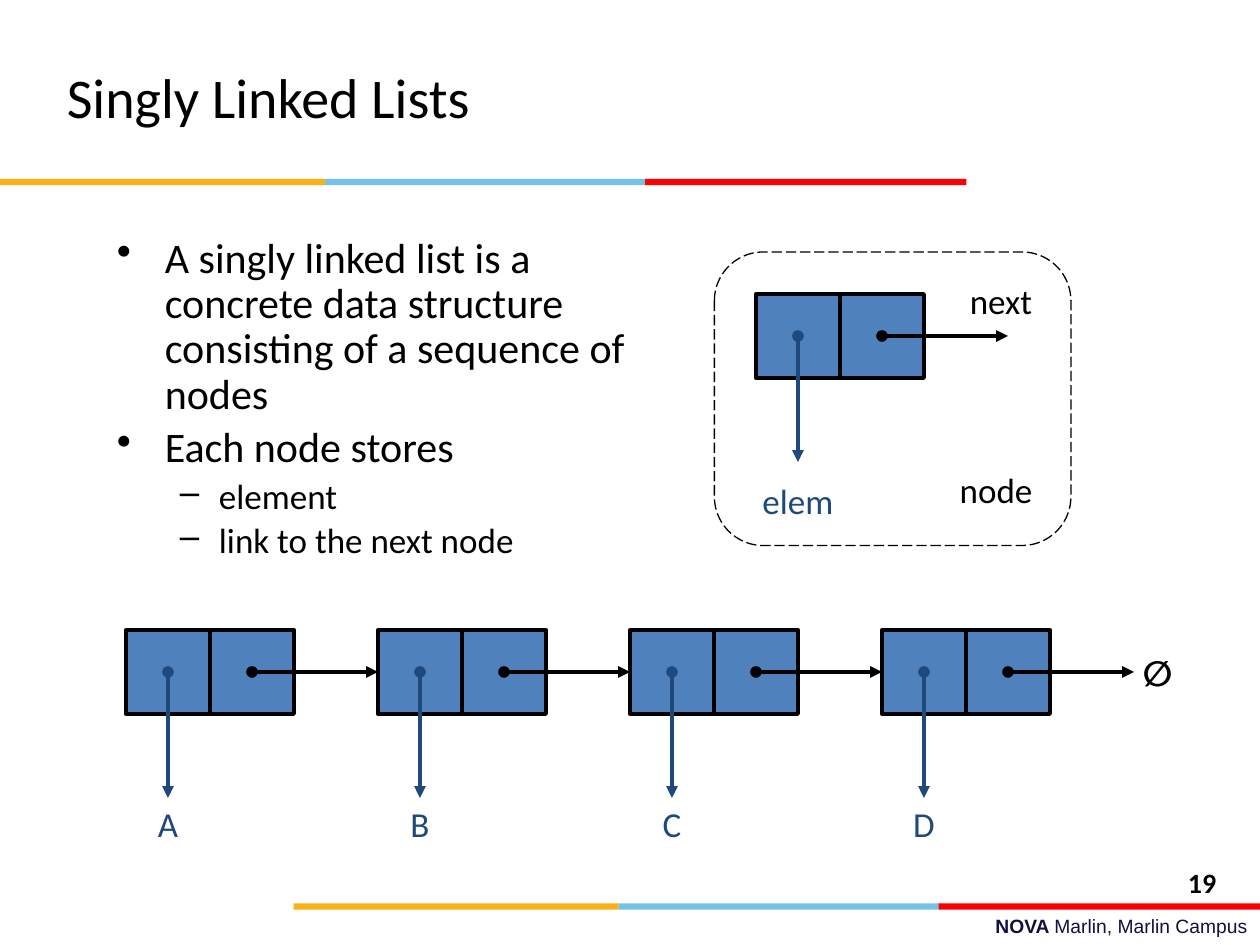
"""Build the slide that explains singly linked lists."""
from typing import NamedTuple

from lxml import etree
from pptx import Presentation
from pptx.dml.color import RGBColor
from pptx.enum.dml import MSO_LINE
from pptx.enum.shapes import MSO_CONNECTOR, MSO_SHAPE
from pptx.enum.text import MSO_ANCHOR, PP_ALIGN
from pptx.oxml.ns import qn
from pptx.util import Inches, Pt

RECT, ROUNDED = MSO_SHAPE.RECTANGLE, MSO_SHAPE.ROUNDED_RECTANGLE
STRAIGHT, LONG_DASH = MSO_CONNECTOR.STRAIGHT, MSO_LINE.LONG_DASH
LEFT, CENTER, RIGHT = PP_ALIGN.LEFT, PP_ALIGN.CENTER, PP_ALIGN.RIGHT
TOP, MIDDLE = MSO_ANCHOR.TOP, MSO_ANCHOR.MIDDLE
LEFT_SIDE = 1
BLACK, NAVY, BLUE = "000000", "1F497D", "4F81BD"
CELL = 2 / 3


class Run(NamedTuple):
    text: str
    bold: bool = False


class Bullet(NamedTuple):
    text: str
    level: int = 0


class BulletStyle(NamedTuple):
    mark: str
    size: int
    margin: float
    hanging: float


class Node(NamedTuple):
    left: float
    top: float
    label: str
    label_top: float
    arrow: float


STYLES = [BulletStyle("•", 24, 0.38, 0.38), BulletStyle("–", 20, 0.81, 0.31)]
BULLETS = [
    Bullet("A singly linked list is a concrete data structure consisting of a sequence of nodes"),
    Bullet("Each node stores"),
    Bullet("element", 1),
    Bullet("link to the next node", 1),
]
BAND_PARTS = [(0, 2.58, "FCB017"), (2.58, 2.55, "76C2E5"), (5.12, 2.55, "FF0000")]
LEGEND_NODE = Node(6, 2 + 1 / 3, "elem", 3.76, 1)
LIST_NODES = [Node(1 + 2 * i, 5, label, 6.32, 1) for i, label in enumerate("ABCD")]


def rgb(color: str) -> RGBColor:
    """Turn a hex string into a colour."""
    return RGBColor.from_string(color)


def write(paragraph, runs, *, size=20, color=BLACK, font="Calibri", align=LEFT) -> None:
    """Fill a paragraph with formatted runs."""
    paragraph.alignment = align
    for text, bold in runs:
        run = paragraph.add_run()
        run.text = text
        run.font.size, run.font.name, run.font.bold = Pt(size), font, bold
        run.font.color.rgb = rgb(color)


def add_text(slide, left, top, width, height, *runs, wrap=False, anchor=TOP, **style):
    """Add a text box with one formatted paragraph."""
    box = slide.shapes.add_textbox(Inches(left), Inches(top), Inches(width), Inches(height))
    box.text_frame.word_wrap = wrap
    box.text_frame.vertical_anchor = anchor
    write(box.text_frame.paragraphs[0], runs, **style)
    return box


def add_box(slide, left, top, width, height, *, kind=RECT, fill=None, line=None, weight=2.25):
    """Add a preset shape with optional fill and outline."""
    shape = slide.shapes.add_shape(kind, Inches(left), Inches(top), Inches(width), Inches(height))
    shape.shadow.inherit = False
    if fill:
        shape.fill.solid()
        shape.fill.fore_color.rgb = rgb(fill)
    else:
        shape.fill.background()
    if line:
        shape.line.color.rgb = rgb(line)
        shape.line.width = Pt(weight)
    else:
        shape.line.fill.background()
    return shape


def add_arrow(slide, x1, y1, x2, y2, color):
    """Add a straight pointer with a round start and an arrowhead."""
    arrow = slide.shapes.add_connector(STRAIGHT, Inches(x1), Inches(y1), Inches(x2), Inches(y2))
    arrow.line.color.rgb = rgb(color)
    arrow.line.width = Pt(2.25)
    outline = arrow.line._get_or_add_ln()
    etree.SubElement(outline, qn("a:headEnd"), type="oval")
    etree.SubElement(outline, qn("a:tailEnd"), type="triangle")
    etree.SubElement(arrow._element.spPr, qn("a:effectLst"))
    return arrow


def add_band(slide, left: float, top: float) -> None:
    """Draw the three-coloured rule."""
    for offset, width, color in BAND_PARTS:
        add_box(slide, left + offset, top, width, 0.05, fill=color)


def add_bullets(slide) -> None:
    """Write the two-level bullet list."""
    frame = add_text(slide, 0.83, 1.83, 4.5, 2.75, wrap=True).text_frame
    for i, bullet in enumerate(BULLETS):
        style = STYLES[bullet.level]
        paragraph = frame.add_paragraph() if i else frame.paragraphs[0]
        write(paragraph, [Run(bullet.text)], size=style.size)
        paragraph.level = bullet.level
        paragraph.line_spacing = 0.9
        paragraph.space_before = Pt(style.size * 0.2)
        properties = paragraph._p.get_or_add_pPr()
        properties.set("marL", str(Inches(style.margin)))
        properties.set("indent", str(-Inches(style.hanging)))
        etree.SubElement(properties, qn("a:buChar"), char=style.mark)


def add_cells(slide, node: Node):
    """Draw the element and link cells and return the first."""
    element_cell, _ = [
        add_box(slide, node.left + i * CELL, node.top, CELL, CELL, fill=BLUE, line=BLACK)
        for i in range(2)
    ]
    return element_cell


def add_pointers(slide, node: Node):
    """Draw a node's element pointer and label, and return its link arrow."""
    center_x, center_y = node.left + CELL / 2, node.top + CELL / 2
    add_arrow(slide, center_x, center_y, center_x, center_y + node.arrow, NAVY)
    add_text(slide, center_x - 0.4, node.label_top, 0.8, 0.43, Run(node.label),
             color=NAVY, align=CENTER)
    link_x = center_x + CELL
    return add_arrow(slide, link_x, center_y, link_x + 1, center_y, BLACK)


def main() -> None:
    """Compose and save the slide."""
    deck = Presentation()
    deck.slide_width, deck.slide_height = Inches(10), Inches(7.5)
    slide = deck.slides.add_slide(deck.slide_layouts.get_by_name("Title Only"))

    title = slide.shapes.title
    title.left, title.top = Inches(0.43), Inches(0.3)
    title.width, title.height = Inches(6.69), Inches(0.93)
    title.text_frame.vertical_anchor = MIDDLE
    write(title.text_frame.paragraphs[0], [Run("Singly Linked Lists")], size=32)

    add_band(slide, 0, 1.42)
    add_band(slide, 2.33, 7.17)
    add_text(slide, 3.58, 7.21, 6.42, 0.29, Run("NOVA ", True), Run("Marlin, Marlin Campus"),
             wrap=True, size=11, color="101141", font="Arial", align=RIGHT)
    add_text(slide, 9.33, 6.82, 0.67, 0.32, Run("19", True), wrap=True, size=16)
    add_bullets(slide)

    frame = add_box(slide, 5.67, 2, 2.83, 2.33, kind=ROUNDED, line=BLACK, weight=0.75)
    frame.line.dash_style = LONG_DASH
    add_cells(slide, LEGEND_NODE)
    add_pointers(slide, LEGEND_NODE)
    add_text(slide, 7.58, 2.17, 0.73, 0.43, Run("next"), align=CENTER)
    add_text(slide, 7.5, 3.67, 0.81, 0.43, Run("node"), align=CENTER)

    element_cells = [add_cells(slide, node) for node in LIST_NODES]
    links = [add_pointers(slide, node) for node in LIST_NODES]
    for link, next_cell in zip(links, element_cells[1:]):
        link.end_connect(next_cell, LEFT_SIDE)
    add_text(slide, 8.97, 5.12, 0.43, 0.43, Run("∅", True), align=CENTER)

    deck.save("out.pptx")


if __name__ == "__main__":
    main()
